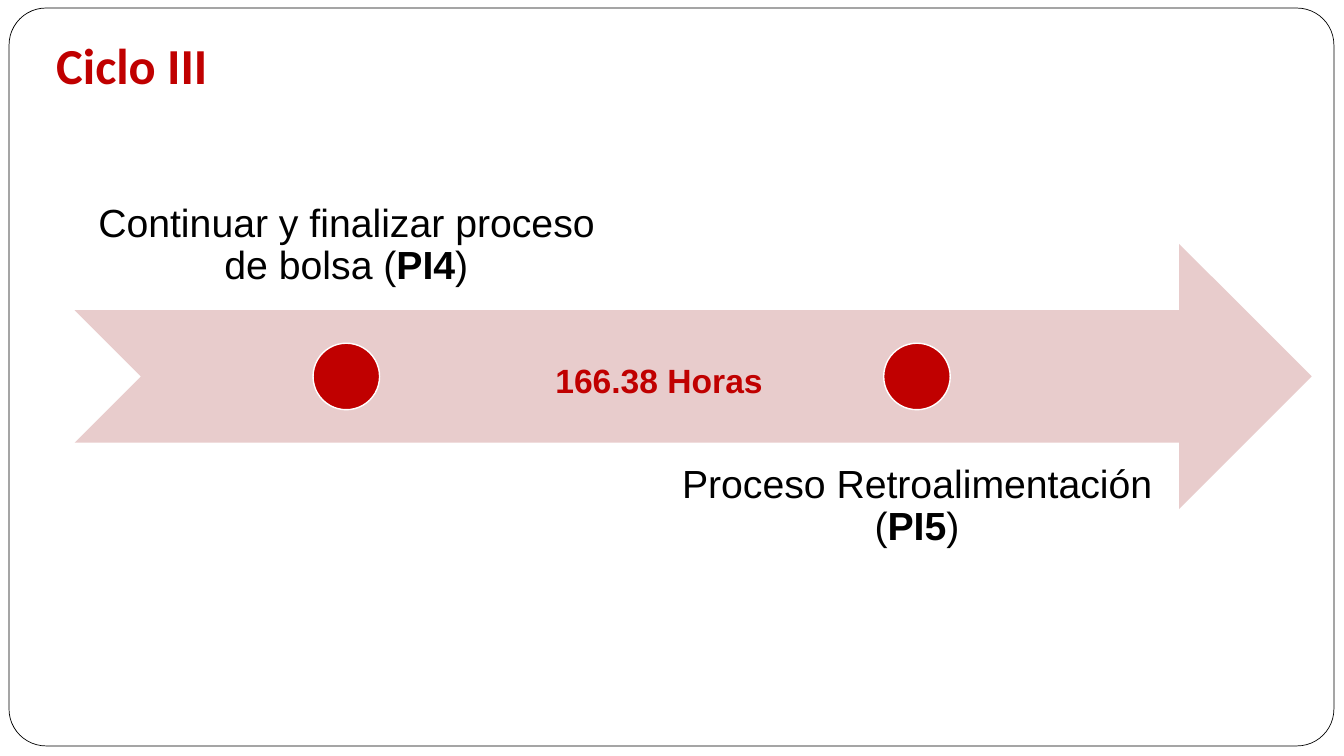
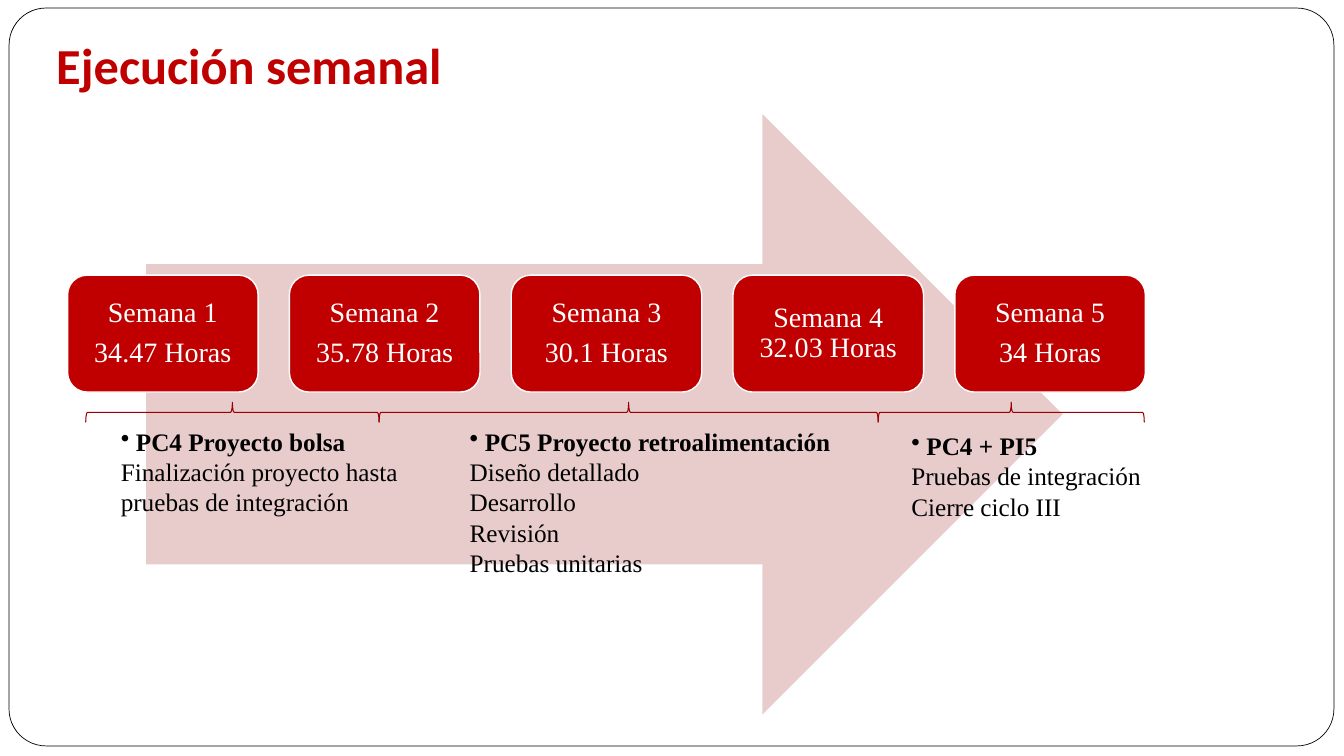
import pptx
import pptx.util
import pptx.dml.color
import pptx.enum.shapes
import pptx.enum.text
from dataclasses import dataclass
from lxml import etree

Inches = pptx.util.Inches
Pt = pptx.util.Pt
SHAPE = pptx.enum.shapes.MSO_SHAPE
ANCHOR = pptx.enum.text.MSO_ANCHOR
ALIGN = pptx.enum.text.PP_ALIGN


@dataclass(frozen=True)
class Theme:
    red: str = "C00000"
    dark_red: str = "9A0000"
    pink: str = "E8CCCC"
    white: str = "FFFFFF"
    black: str = "000000"
    heading: str = "Calibri"
    sans: str = "Arial"
    serif: str = "Times New Roman"
    title_size: int = 36
    milestone_size: int = 28
    total_size: int = 24
    week_size: int = 20
    detail_size: int = 18


THEME = Theme()

# Content: each paragraph is a list of (text, bold) runs
CYCLE_TITLE = "Ciclo III"
CYCLE_TOTAL = "166.38 Horas"
MILESTONES = [
    [("Continuar y finalizar proceso de bolsa (", False), ("PI4", True), (")", False)],
    [("Proceso Retroalimentación (", False), ("PI5", True), (")", False)],
]

WEEKS_TITLE = "Ejecución semanal"
WEEKS = [  # a week is one or two paragraphs
    ["Semana 1", "34.47 Horas"],
    ["Semana 2", "35.78 Horas"],
    ["Semana 3", "30.1 Horas"],
    ["Semana 4\n32.03 Horas"],
    ["Semana 5", "34 Horas"],
]
STAGES = [  # left, top, width, heading, lines
    (1.1, 4.18, 2.96, "PC4 Proyecto bolsa",
     ["Finalización proyecto hasta pruebas de integración"]),
    (4.56, 4.18, 4.08, "PC5 Proyecto retroalimentación",
     ["Diseño detallado", "Desarrollo", "Revisión", "Pruebas unitarias"]),
    (8.94, 4.22, 2.49, "PC4 + PI5",
     ["Pruebas de integración", "Cierre ciclo III"]),
]
STAGE_EDGES = [0.85, 3.76, 8.71, 11.35]


# Helpers
def rgb(color):
    return pptx.dml.color.RGBColor.from_string(color)


def add_shape(slide, kind, left, top, width, height, fill=None, line=None, weight=1):
    shape = slide.shapes.add_shape(
        kind, Inches(left), Inches(top), Inches(width), Inches(height))
    shape.shadow.inherit = False
    if fill:
        shape.fill.solid()
        shape.fill.fore_color.rgb = rgb(fill)
    else:
        shape.fill.background()
    if line:
        shape.line.color.rgb = rgb(line)
        shape.line.width = Pt(weight)
    else:
        shape.line.fill.background()
    return shape


def add_text_box(slide, left, top, width, height):
    return slide.shapes.add_textbox(
        Inches(left), Inches(top), Inches(width), Inches(height))


def write(shape, paragraphs, font, size, color, align=ALIGN.LEFT, anchor=ANCHOR.TOP,
          insets=(0.1, 0.05, 0.1, 0.05), line_spacing=None, space_after=0, wrap=True):
    frame = shape.text_frame
    frame.word_wrap = wrap
    frame.vertical_anchor = anchor
    (frame.margin_left, frame.margin_top,
     frame.margin_right, frame.margin_bottom) = map(Inches, insets)
    for index, runs in enumerate(paragraphs):
        paragraph = frame.add_paragraph() if index else frame.paragraphs[0]
        paragraph.alignment = align
        paragraph.space_after = Pt(space_after)
        if line_spacing:
            paragraph.line_spacing = line_spacing
        for text, bold in runs:
            for number, part in enumerate(text.split("\n")):
                if number:
                    paragraph.add_line_break()
                run = paragraph.add_run()
                run.text = part
                run.font.name = font
                run.font.size = Pt(size)
                run.font.bold = bold
                run.font.color.rgb = rgb(color)
    return frame


def add_bullet(paragraph, indent=0.15):
    properties = paragraph._p.get_or_add_pPr()
    properties.set("marL", str(Inches(indent)))
    properties.set("indent", str(-Inches(indent)))
    bullet = etree.SubElement(properties, pptx.oxml.ns.qn("a:buChar"))
    bullet.set("char", "•")


def add_framed_slide(presentation, title):
    slide = presentation.slides.add_slide(presentation.slide_layouts[6])
    frame = add_shape(slide, SHAPE.ROUNDED_RECTANGLE, 0.09, 0.08, 13.14, 7.32,
                      THEME.white, THEME.black, 0.5)
    frame.adjustments[0] = 0.05
    write(add_text_box(slide, 0.46, 0.23, 6.06, 0.81), [[(title, True)]],
          THEME.heading, THEME.title_size, THEME.red, anchor=ANCHOR.BOTTOM,
          insets=(0.1, 0.05, 0.1, 0.1))
    return slide


# Slides
def build_cycle(presentation):
    slide = add_framed_slide(presentation, CYCLE_TITLE)
    arrow_top, arrow_height = 2.42, 2.63
    middle = arrow_top + arrow_height / 2
    add_shape(slide, SHAPE.NOTCHED_RIGHT_ARROW, 0.74, arrow_top, 12.27, arrow_height,
              THEME.pink)

    # Milestones alternate above and below the arrow
    label_width, pitch, dot = 5.39, 5.66, 0.66
    sides = [(0.45, ANCHOR.BOTTOM), (4.39, ANCHOR.TOP)]
    for index, (runs, (top, anchor)) in enumerate(zip(MILESTONES, sides)):
        left = 0.74 + index * pitch
        write(add_text_box(slide, left, top, label_width, arrow_height), [runs],
              THEME.sans, THEME.milestone_size, THEME.black, ALIGN.CENTER, anchor,
              insets=(0.22,) * 4, line_spacing=0.9)
        add_shape(slide, SHAPE.OVAL, left + (label_width - dot) / 2, middle - dot / 2,
                  dot, dot, THEME.red, THEME.white)

    write(add_text_box(slide, 5.41, 3.52, 2.28, 0.5), [[(CYCLE_TOTAL, True)]],
          THEME.sans, THEME.total_size, THEME.red, wrap=False)


def build_weeks(presentation):
    slide = add_framed_slide(presentation, WEEKS_TITLE)
    add_shape(slide, SHAPE.RIGHT_ARROW, 1.45, 1.13, 9.09, 5.96, THEME.pink)

    # Week cards
    for index, lines in enumerate(WEEKS):
        card = add_shape(slide, SHAPE.ROUNDED_RECTANGLE, 0.67 + index * 2.2, 2.73,
                         1.89, 1.16, THEME.red, THEME.white)
        write(card, [[(line, False)] for line in lines], THEME.serif, THEME.week_size,
              THEME.white, ALIGN.CENTER, ANCHOR.MIDDLE, insets=(0.08,) * 4,
              line_spacing=0.9, space_after=0.35 * THEME.week_size)

    # Braces: upright shapes turned so that they point up
    depth, brace_middle = 0.2, 4.09
    for start, end in zip(STAGE_EDGES, STAGE_EDGES[1:]):
        span = end - start
        brace = add_shape(slide, SHAPE.RIGHT_BRACE, (start + end - depth) / 2,
                          brace_middle - span / 2, depth, span,
                          line=THEME.dark_red, weight=0.75)
        brace.rotation = 270

    # Stage details
    for left, top, width, heading, lines in STAGES:
        paragraphs = [[(heading, True)]] + [[(line, False)] for line in lines]
        height = 1.01 if len(lines) < 3 else 1.62
        frame = write(add_text_box(slide, left, top, width, height), paragraphs,
                      THEME.serif, THEME.detail_size, THEME.black)
        add_bullet(frame.paragraphs[0])


def main():
    presentation = pptx.Presentation()
    presentation.slide_width = Inches(13.33)
    presentation.slide_height = Inches(7.5)
    build_cycle(presentation)
    build_weeks(presentation)
    presentation.save("out.pptx")


if __name__ == "__main__":
    main()
